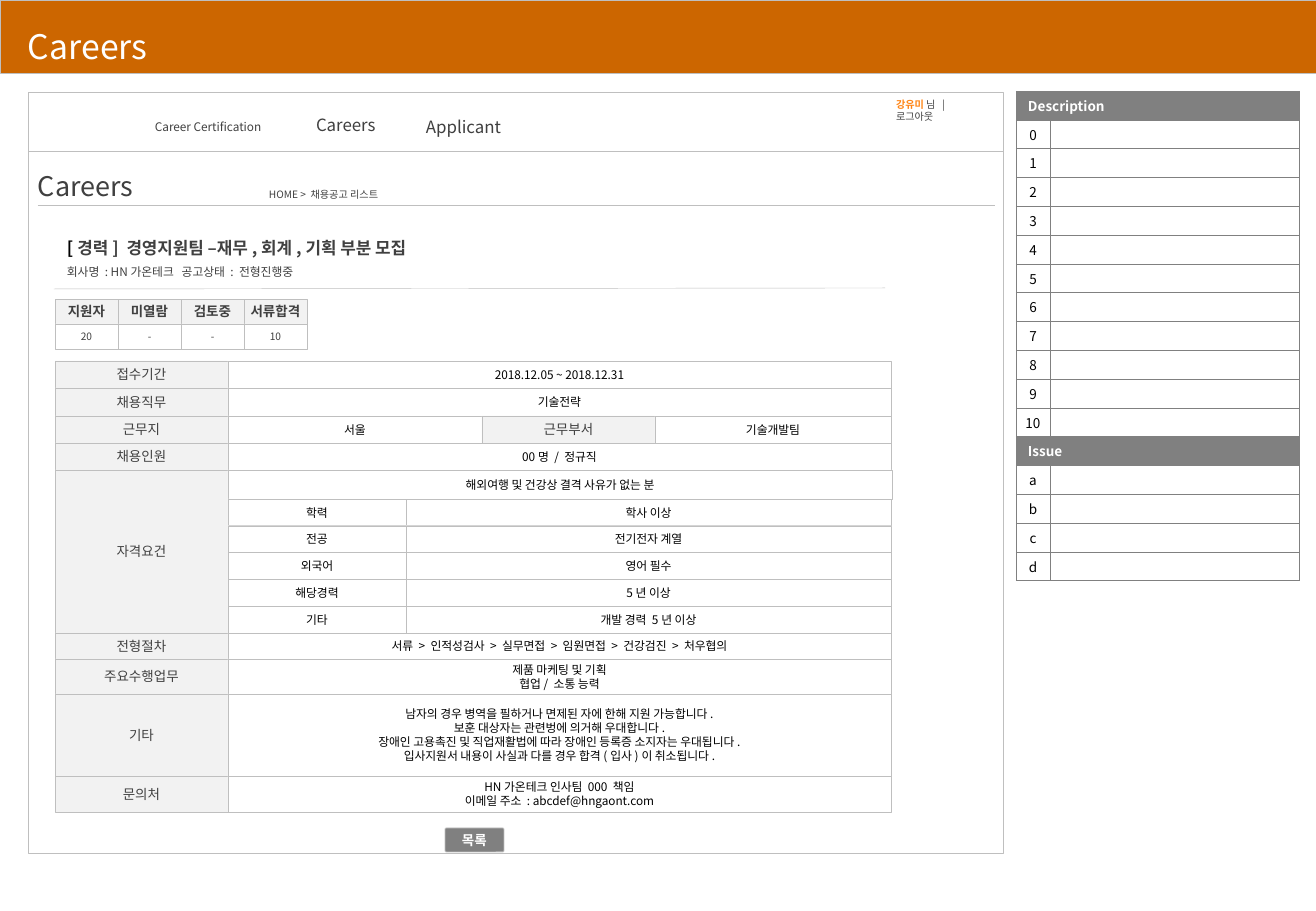
"""Build the careers posting screen with its description table."""
from itertools import accumulate
from lxml import etree
from pptx import Presentation, util as u
from pptx.dml.color import RGBColor
from pptx.enum import shapes, text
from pptx.oxml import ns

FONT = "Noto Sans CJK KR"
HEX = {"bar": "CC6600", "edge": "BFBFBF", "ink": "404040", "black": "000000",
       "white": "FFFFFF", "pale": "F2F2F2", "gray": "808080", "user": "FF8515"}
LEFT, MID, TOP = text.PP_ALIGN.LEFT, text.PP_ALIGN.CENTER, text.MSO_ANCHOR.TOP

LABELS = [
    ((28, 28, 1260, 36), ["Careers"], dict(size=20, color="white", anchor=text.MSO_ANCHOR.MIDDLE)),
    ((155, 120, 130, 15), ["Career Certification"], dict(size=7)),
    ((316, 115, 90, 21), ["Careers"], dict(size=10)),
    ((426, 117, 110, 21), ["Applicant"], dict(size=10)),
    ((896, 98, 90, 26), [[("강유미", dict(color="user", bold=True)), (" 님  |  로그아웃", {})]], dict(size=6)),
    ((38, 170, 150, 66), ["Careers"], dict(size=16)),
    ((269, 188, 130, 12), ["HOME > 채용공고 리스트"], dict(size=6)),
    ((67, 227, 751, 58), [
        [("[", dict(color="black", size=10, bold=True)),
         ("경력] 경영지원팀 –재무,회계,기획 부분 모집", dict(size=10, bold=True))],
        "회사명 : HN가온테크   공고상태 : 전형진행중"], dict(size=7, space=1.5)),
]
COUNTS = [("지원자", "20"), ("미열람", "-"), ("검토중", "-"), ("서류합격", "10")]
FORM = [
    ("접수기간", 27, ["2018.12.05 ~ 2018.12.31"]),
    ("채용직무", 28, ["기술전략"]),
    ("근무지", 27, []),
    ("채용인원", 27, ["00명 / 정규직"]),
    ("자격요건", 163, []),
    ("전형절차", 26, ["서류 > 인적성검사 > 실무면접 > 임원면접 > 건강검진 > 처우협의"]),
    ("주요수행업무", 35, ["제품 마케팅 및 기획", "협업/ 소통 능력"]),
    ("기타", 82, ["남자의 경우 병역을 필하거나 면제된 자에 한해 지원 가능합니다.",
                "보훈 대상자는 관련벙에 의거해 우대합니다.",
                "장애인 고용촉진 및 직업재활법에 따라 장애인 등록증 소지자는 우대됩니다.",
                "입사지원서 내용이 사실과 다를 경우 합격(입사)이 취소됩니다."]),
    ("문의처", 36, ["HN가온테크 인사팀 000 책임", "이메일 주소 : abcdef@hngaont.com"]),
]
PLACE = [("서울", 254, False), ("근무부서", 173, True), ("기술개발팀", 236, False)]
RULE = "해외여행 및 건강상 결격 사유가 없는 분"
NEEDS = [("학력", "학사 이상"), ("전공", "전기전자 계열"), ("외국어", "영어 필수"),
         ("해당경력", "5년 이상"), ("기타", "개발 경력 5년 이상")]
NOTES = ["Description", *map(str, range(11)), "Issue", *"abcd"]

deck = Presentation()


def px(num):
    """Turn px into EMU."""
    return round(num * 914400 / 121.5)


deck.slide_width, deck.slide_height = px(1316), px(911)
page = deck.slides.add_slide(deck.slide_layouts[6])


def tint(name):
    """Give the colour of a name."""
    return RGBColor.from_string(HEX[name])


def write(frame, paras, size=7, color="ink", bold=False, align=LEFT, space=None):
    """Fill a text frame with paragraphs of runs."""
    for num, para in enumerate(paras):
        line = frame.add_paragraph() if num else frame.paragraphs[0]
        line.alignment = align
        if space:
            line.line_spacing = space
        for words, own in [(para, {})] if isinstance(para, str) else para:
            look = dict(size=size, color=color, bold=bold) | own
            run = line.add_run()
            run.text = words
            run.font.name = FONT
            run.font.size = u.Pt(look["size"])
            run.font.bold = look["bold"]
            run.font.color.rgb = tint(look["color"])
            east = etree.SubElement(run.font._element, ns.qn("a:ea"))
            east.set("typeface", FONT)


def pad(item, side, end):
    """Set the four margins."""
    item.margin_left = item.margin_right = px(side)
    item.margin_top = item.margin_bottom = px(end)


def label(area, paras, anchor=TOP, **look):
    """Add a text box."""
    frame = page.shapes.add_textbox(*map(px, area)).text_frame
    frame.word_wrap = True
    frame.vertical_anchor = anchor
    pad(frame, 0, 0)
    write(frame, paras, **look)


def box(area, paras=(), fill="white", kind="RECTANGLE", width=0.25, **look):
    """Add an outlined shape with centred text."""
    form = page.shapes.add_shape(shapes.MSO_SHAPE[kind], *map(px, area))
    form.shadow.inherit = False
    form.fill.solid()
    form.fill.fore_color.rgb = tint(fill)
    form.line.color.rgb = tint("edge")
    form.line.width = u.Pt(width)
    form.text_frame.word_wrap = True
    form.text_frame.vertical_anchor = text.MSO_ANCHOR.MIDDLE
    pad(form.text_frame, 5, 5)
    write(form.text_frame, paras, align=MID, **look)
    return form


def head(area, name):
    """Add a shaded label cell."""
    box(area, [name], fill="pale", size=8)


def value(area, paras):
    """Add a white value cell."""
    box(area, paras, color="black")


def rule(*ends):
    """Add a thin straight line."""
    line = page.shapes.add_connector(shapes.MSO_CONNECTOR.STRAIGHT, *map(px, ends))
    line.line.color.rgb = tint("edge")
    line.line.width = u.Pt(0.25)
    etree.SubElement(line._element.spPr, ns.qn("a:effectLst"))


def frame_cell(cell):
    """Draw the four borders of a table cell."""
    props = cell._tc.get_or_add_tcPr()
    for num, side in enumerate(("lnL", "lnR", "lnT", "lnB")):
        edge = etree.Element(ns.qn("a:" + side), w=str(u.Pt(0.25)))
        fill = etree.SubElement(edge, ns.qn("a:solidFill"))
        etree.SubElement(fill, ns.qn("a:srgbClr"), val=HEX["gray"])
        props.insert(num, edge)


def notes(left, top, widths, high):
    """Add the description and issue table."""
    grid = page.shapes.add_table(len(NOTES), 2, *map(px, (left, top, sum(widths), high))).table
    for col, width in zip(grid.columns, widths):
        col.width = px(width)
    for num, name in enumerate(NOTES):
        grid.rows[num].height = px(high / len(NOTES))
        title = len(name) > 2
        for cell, words in zip(grid.rows[num].cells, (name, "")):
            cell.fill.solid()
            cell.fill.fore_color.rgb = tint("gray" if title else "white")
            cell.vertical_anchor = text.MSO_ANCHOR.MIDDLE
            pad(cell, 12 if title else 0, 4)
            frame_cell(cell)
            if words:
                write(cell.text_frame, [words], size=8, bold=title,
                      color="white" if title else "black", align=LEFT if title else MID)
            else:
                last = cell.text_frame.paragraphs[0]._p
                etree.SubElement(last, ns.qn("a:endParaRPr"), sz="800")
        if title:
            grid.cell(num, 0).merge(grid.cell(num, 1))


box((0, 0, 1316, 73), fill="bar")
box((28, 151, 975, 702))
box((28, 92, 975, 59))
for area, paras, look in LABELS:
    label(area, paras, **look)
rule(38, 205, 995, 205)
rule(54, 289, 885, 288)
notes(1016, 91, (34, 249), 490)

for num, (name, count) in enumerate(COUNTS):
    left = 55 + 63 * num
    box((left, 299, 63, 25), [name], fill="pale", size=8, bold=True)
    box((left, 324, 63, 25), [count], size=6)

LEAD, BODY, FULL = 55, 228, 663
tops = list(accumulate((high for _, high, _ in FORM), initial=361))
for top, (name, high, paras) in zip(tops, FORM):
    head((LEAD, top, BODY - LEAD, high), name)
    if paras:
        value((BODY, top, FULL, high), paras)

left = BODY
for name, width, shade in PLACE:
    area = (left, tops[2], width, 27)
    if shade:
        head(area, name)
    else:
        value(area, [name])
    left += width

value((BODY, tops[4], FULL + 1, 29), [RULE])
step = (FORM[4][1] - 29) / len(NEEDS)
for num, (name, need) in enumerate(NEEDS):
    top = tops[4] + 29 + step * num
    value((BODY, top, 178, step), [name])
    value((BODY + 178, top, FULL - 178, step), [need])

button = box((445, 828, 59, 24), ["목록"], fill="gray", kind="ROUNDED_RECTANGLE",
             width=0.5, size=8, color="white", bold=True)
button.adjustments[0] = 0.06
deck.save("out.pptx")
